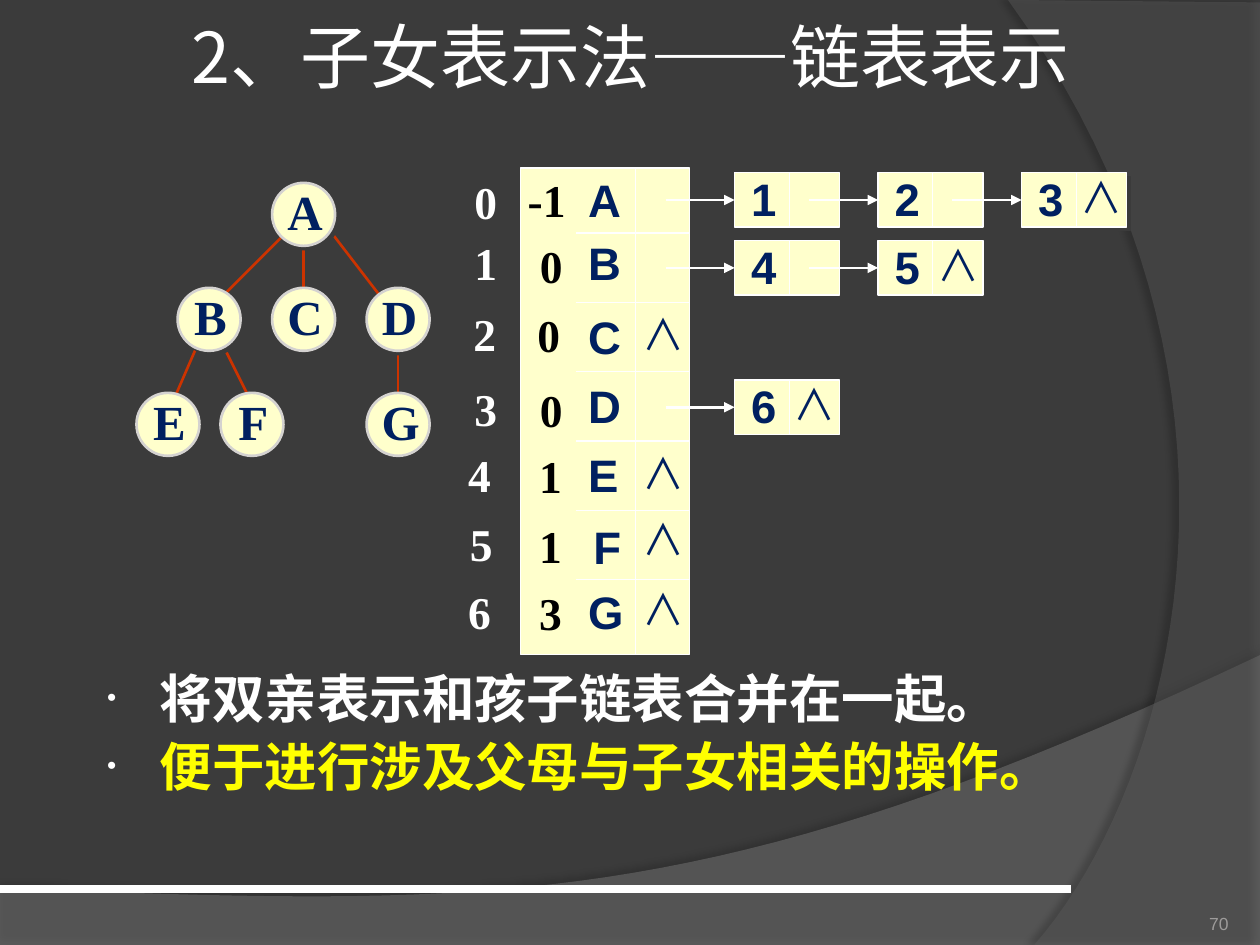
from lxml import etree
from pptx import Presentation
from pptx.dml.color import RGBColor
from pptx.enum.lang import MSO_LANGUAGE_ID
from pptx.enum.shapes import MSO_CONNECTOR, MSO_SHAPE
from pptx.enum.text import MSO_ANCHOR, MSO_AUTO_SIZE, PP_ALIGN
from pptx.oxml.ns import qn
from pptx.util import Pt

STRAIGHT = MSO_CONNECTOR.STRAIGHT
RECTANGLE, ELLIPSE = MSO_SHAPE.RECTANGLE, MSO_SHAPE.OVAL
TOP, MIDDLE, BOTTOM = MSO_ANCHOR.TOP, MSO_ANCHOR.MIDDLE, MSO_ANCHOR.BOTTOM
LEFT, CENTER, RIGHT = PP_ALIGN.LEFT, PP_ALIGN.CENTER, PP_ALIGN.RIGHT
NO_AUTO_SIZE, FIT_SHAPE = MSO_AUTO_SIZE.NONE, MSO_AUTO_SIZE.SHAPE_TO_FIT_TEXT
CHINESE = MSO_LANGUAGE_ID.SIMPLIFIED_CHINESE

SERIF, SANS, CJK = "Times New Roman", "Arial", "Noto Sans CJK SC"
WHITE, CREAM, NAVY, DARK = "FFFFFF", "FFFFCC", "002060", "3B3B3B"
LEFT_SIDE = 1


def color(value):
    return RGBColor.from_string(value)


def add_element(parent, tag, **attributes):
    values = {name: str(value) for name, value in attributes.items()}
    return etree.SubElement(parent, qn(tag), values)


def set_shadow(shape, value, opacity, blur, distance, angle):
    shape.shadow.inherit = False
    effects = shape.element.spPr.find(qn("a:effectLst"))
    shadow = add_element(effects, "a:outerShdw", blurRad=Pt(blur), dist=Pt(distance),
                         dir=angle * 60000, algn="ctr", rotWithShape=0)
    shade = add_element(shadow, "a:srgbClr", val=value)
    add_element(shade, "a:alpha", val=opacity * 1000)


def write(paragraph, text, size=26, font=SANS, fill=NAVY, bold=True, align=LEFT):
    paragraph.alignment = align
    run = paragraph.add_run()
    run.text = text
    run.font.size = Pt(size)
    run.font.name = font
    run.font.bold = bold
    run.font.color.rgb = color(fill)
    run.font.language_id = CHINESE
    latin = run.font._element.find(qn("a:latin"))
    latin.addnext(latin.makeelement(qn("a:ea"), {"typeface": font}))


def place(shape, box):
    shape.left, shape.top, shape.width, shape.height = map(Pt, box)


def add_text(slide, text, box, anchor=TOP, wrap=False, **text_format):
    frame = slide.shapes.add_textbox(*map(Pt, box)).text_frame
    frame.word_wrap = wrap
    frame.auto_size = FIT_SHAPE
    frame.vertical_anchor = anchor
    write(frame.paragraphs[0], text, **text_format)
    return frame


def add_line(slide, start, end, value=WHITE, width=0.75, arrow=False):
    line = slide.shapes.add_connector(STRAIGHT, *map(Pt, start + end))
    line.line.color.rgb = color(value)
    line.line.width = Pt(width)
    add_element(line.element.spPr, "a:effectLst")
    if arrow:
        add_element(line.element.spPr.find(qn("a:ln")), "a:tailEnd", type="triangle")
    return line


def add_panel(slide, kind, box, line_color=WHITE, line_width=0.75):
    shape = slide.shapes.add_shape(kind, *map(Pt, box))
    shape.fill.solid()
    shape.fill.fore_color.rgb = color(CREAM)
    shape.line.color.rgb = color(line_color)
    shape.line.width = Pt(line_width)
    set_shadow(shape, DARK, 100, 0, 2.8, 45)
    return shape


def add_caret(slide, left, top):
    add_text(slide, "∧", (left, top, 38, 36), size=24, font=CJK, bold=False)


def curve(start, first, second, end, steps=40):
    """Points along a cubic curve, without its start."""
    points = []
    for step in range(1, steps + 1):
        t = step / steps
        weights = ((1 - t) ** 3, 3 * t * (1 - t) ** 2, 3 * t * t * (1 - t), t ** 3)
        corners = (start, first, second, end)
        points.append(tuple(sum(w * c[axis] for w, c in zip(weights, corners))
                            for axis in (0, 1)))
    return points


def add_sweep(slide, points, value, opacity, shadow):
    outline = [(Pt(x), Pt(y)) for x, y in points]
    builder = slide.shapes.build_freeform(*outline[0])
    builder.add_line_segments(outline[1:], close=True)
    shape = builder.convert_to_shape()
    shape.fill.solid()
    shape.fill.fore_color.rgb = color(value)
    add_element(shape.element.spPr.find(".//" + qn("a:srgbClr")), "a:alpha", val=opacity * 1000)
    shape.line.fill.background()
    set_shadow(shape, *shadow)
    return shape


def build_backdrop(slide, width, height):
    slide.background.fill.solid()
    slide.background.fill.fore_color.rgb = color(DARK)
    wave = [(0, 507.6), (0, height), (width, height), (width, 374.4)]
    wave += curve(wave[-1], (402.5, 524.9), (281.5, 517.7), wave[0])
    ring = [(width, 1.4), (width, height), (591, height)]
    ring += curve(ring[-1], (673, 446), (733, 216), (576, 0))
    parts = [add_sweep(slide, wave, "7F7F7F", 45, ("000000", 35, 4, 3.5, 270)),
             add_sweep(slide, ring, "5E5E5E", 40, ("000000", 45, 4, 4, 180)),
             add_line(slide, (0, 508.2), (612, 508.2), width=4.5)]
    # Keep the backdrop behind the placeholders
    for part in parts:
        slide.shapes.title.element.addprevious(part.element)


def build_title(title, box):
    place(title, box)
    frame = title.text_frame
    frame.vertical_anchor = MIDDLE
    frame.auto_size = NO_AUTO_SIZE
    frame.margin_left = frame.margin_right = frame.margin_top = frame.margin_bottom = Pt(3.6)
    write(frame.paragraphs[0], "2、子女表示法——链表表示", size=40, font="Noto Sans CJK JP",
          fill=WHITE, bold=False, align=CENTER)


def build_body(body, box):
    place(body, box)
    frame = body.text_frame
    frame.auto_size = NO_AUTO_SIZE
    lines = [("将双亲表示和孩子链表合并在一起。", WHITE),
             ("便于进行涉及父母与子女相关的操作。", "FFFF00")]
    for number, (text, fill) in enumerate(lines):
        paragraph = frame.add_paragraph() if number else frame.paragraphs[0]
        paragraph.line_spacing = 1.05
        paragraph.space_before = Pt(1.5 * number)
        properties = paragraph._p.get_or_add_pPr()
        properties.set("marL", str(Pt(33)))
        properties.set("indent", str(Pt(-30)))
        add_element(add_element(properties, "a:buClr"), "a:srgbClr", val=WHITE)
        add_element(properties, "a:buSzPct", val=50000)
        add_element(properties, "a:buFont", typeface=SANS)
        add_element(properties, "a:buChar", char="•")
        write(paragraph, text, size=30, fill=fill)


def build_tree(slide, left, top):
    edges = [(149.5, 90, 149.5, 131.5), (108, 24, 149.5, 78), (48, 90, 66, 126),
             (36, 90, 18, 131.5), (84, 30, 48, 66), (95.5, 30, 95.5, 66)]
    for x1, y1, x2, y2 in edges:
        add_line(slide, (left + x1, top + y1), (left + x2, top + y2), "CC3300", 1.5)
    nodes = {"A": (77.5, 0), "B": (23.5, 60), "C": (77.5, 60), "D": (131.5, 60),
             "E": (0, 120), "F": (48, 120), "G": (131.5, 120)}
    for x, y in nodes.values():
        add_panel(slide, ELLIPSE, (left + x, top + y, 36, 36), "D4D2D0", 1.5)
    for letter, (x, y) in nodes.items():
        add_text(slide, letter, (left + x + 1.5, top + y - 4.7, 34.5, 41), anchor=MIDDLE,
                 size=28, font=SERIF, align=CENTER)


def build_node_table(slide, box):
    left, top, width, height = box
    add_panel(slide, RECTANGLE, box)
    # Row and column rules
    for row in range(6):
        y = top + 37.2 + 39.6 * row
        add_line(slide, (left + width, y), (left + 31.5, y))
    add_line(slide, (left + 65.5, top), (left + 65.5, top + height))
    # Each column: text, left and top for every row
    indexes = [("0", -33.5, 0), ("1", -33.5, 35), ("2", -34, 75.5), ("3", -33.5, 118),
               ("4", -37, 156), ("5", -36, 195.5), ("6", -37, 234)]
    parents = [("-1", -3, -1.5), ("0", 4, 36.5), ("0", 2.5, 76), ("0", 4, 118.5),
               ("1", 3.5, 156.5), ("1", 3.5, 196.5), ("3", 3.5, 234.5)]
    letters = [("A", 31.5, -1.5), ("B", 31.5, 35), ("C", 31.5, 77), ("D", 31.5, 116.5),
               ("E", 31.5, 156), ("F", 34.5, 197), ("G", 31.5, 234)]
    for y in (77, 156, 194, 234):
        add_caret(slide, left + 62.5, top + y)
    for text, x, y in letters:
        add_text(slide, text, (left + x, top + y, 33, 38), wrap=True)
    for column, fill in ((indexes, WHITE), (parents, "000000")):
        for text, x, y in column:
            add_text(slide, text, (left + x, top + y, 18.5 + 9 * len(text), 38),
                     font=SERIF, fill=fill)


def build_chain(slide, left, top, children):
    for position, child in enumerate(children):
        x = left + 82 * position
        cell = add_panel(slide, RECTANGLE, (x, top, 60, 31))
        add_line(slide, (x + 31.2, top), (x + 31.2, top + 31))
        arrow = add_line(slide, (x - 39.5, top + 15.5), (x, top + 15.5), width=1.5, arrow=True)
        arrow.end_connect(cell, LEFT_SIDE)
        add_text(slide, child, (x + 2.3, top - 4.5, 28.5, 38))
    add_caret(slide, x + 26.8, top - 4.5)


def build_page_number(slide, box):
    frame = add_text(slide, "70", box, anchor=BOTTOM, wrap=True, size=10, fill="9D9B9A",
                     bold=False, align=RIGHT)
    frame.auto_size = NO_AUTO_SIZE
    frame.margin_left = frame.margin_right = frame.margin_top = frame.margin_bottom = 0


def main():
    presentation = Presentation()
    presentation.slide_width, presentation.slide_height = Pt(720), Pt(540)
    slide = presentation.slides.add_slide(presentation.slide_layouts[1])
    build_backdrop(slide, 720, 540)
    build_title(slide.shapes.title, (36.5, -2, 648, 67))
    build_body(slide.placeholders[1], (51, 375, 631, 130))
    build_page_number(slide, (642, 505.5, 60, 28.5))
    build_tree(slide, 78, 104.5)
    build_node_table(slide, (297.5, 96, 96.5, 278))
    for top, children in ((98.8, "123"), (137.6, "45"), (217.2, "6")):
        build_chain(slide, 419.8, top, children)
    presentation.save("out.pptx")


if __name__ == "__main__":
    main()
